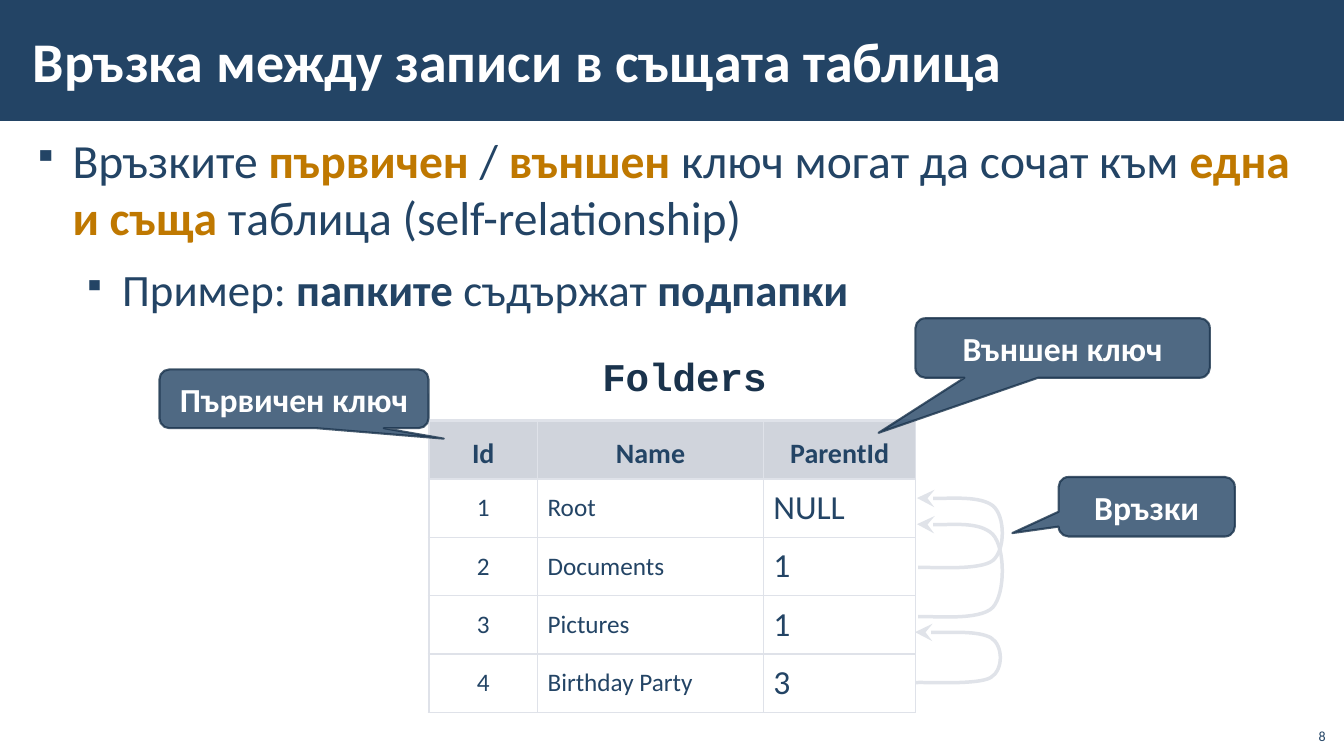
from dataclasses import dataclass

from lxml import etree
from pptx import Presentation
from pptx import util as u
from pptx.dml.color import RGBColor
from pptx.enum import shapes, text
from pptx.oxml import ns

NAVY, DARK, GOLD, WHITE = "234465", "1A334C", "BF7800", "FFFFFF"
HEADER_FILL, GRID, LINK = "D0D4DC", "DFE2E9", "E0E3E9"
ALIGN = text.PP_ALIGN
ANCHOR = text.MSO_ANCHOR


@dataclass
class Span:
    words: str
    color: str = NAVY
    bold: bool = False


@dataclass
class Callout:
    label: str
    place: tuple[float, float, float, float]
    tip: tuple[float, float]


@dataclass
class Link:
    left: float
    top: float
    bottom: float


BULLETS = [
    (34, 0.99, [
        Span("Връзките "), Span("първичен", GOLD, True), Span(" / "),
        Span("външен", GOLD, True), Span(" ключ могат да сочат към "),
        Span("една и съща", GOLD, True), Span(" таблица (self-relationship)")]),
    (32, 2.24, [
        Span("Пример: "), Span("папките", bold=True),
        Span(" съдържат "), Span("подпапки", bold=True)]),
]
FOLDERS = [
    ("Id", "Name", "ParentId"),
    ("1", "Root", "NULL"),
    ("2", "Documents", "1"),
    ("3", "Pictures", "1"),
    ("4", "Birthday Party", "3"),
]
COLUMN_WIDTHS = (2.74, 5.69, 3.84)
COLUMN_SIZES = (18, 18, 24)
ROW_HEIGHT = 1.47
CALLOUTS = [
    Callout("Първичен ключ", (4.02, 9.31, 6.78, 1.48), (0.557, 0.679)),
    Callout("Външен ключ", (23.07, 8.02, 7.42, 1.5), (-0.625, 1.425)),
    Callout("Връзки", (26.68, 12.02, 4.44, 1.5), (-0.763, 0.443)),
]
LINKS = [Link(23.14, 13.21, 15.54), Link(23.14, 12.55, 14.3), Link(23.09, 15.93, 17.2)]
# Bezier points of a link: offset to the right in cm, height as a share of the link
LOOP = [(0, 1), (0.3, 0.99), (1.55, 1.05), (1.88, 0.9), (2.2, 0.75), (2.2, 0.26),
        (1.88, 0.11), (1.55, -0.03), (0.4, 0.02), (-0.03, 0)]


def rgb(color: str) -> RGBColor:
    return RGBColor.from_string(color)


def cm(values) -> list:
    return [u.Cm(value) for value in values]


def add_span(para, span: Span, size: float, font: str = "Calibri") -> None:
    run = para.add_run()
    run.text = span.words
    run.font.name = font
    run.font.size = u.Pt(size)
    run.font.bold = span.bold
    run.font.color.rgb = rgb(span.color)


def set_frame(frame, anchor, side: float = 0.25, edge: float = 0.13) -> None:
    frame.word_wrap = True
    frame.auto_size = text.MSO_AUTO_SIZE.NONE
    frame.vertical_anchor = anchor
    frame.margin_left = frame.margin_right = u.Cm(side)
    frame.margin_top = frame.margin_bottom = u.Cm(edge)


def add_label(page, place, span: Span, size: float, align, anchor, font="Calibri"):
    box = page.shapes.add_textbox(*cm(place))
    set_frame(box.text_frame, anchor)
    para = box.text_frame.paragraphs[0]
    para.alignment = align
    add_span(para, span, size, font)
    return para


def add_title(page) -> None:
    title = page.shapes.title
    title.left, title.top, title.width, title.height = cm((0.53, 0.28, 28.52, 2.46))
    set_frame(title.text_frame, ANCHOR.MIDDLE, 0.3, 0.1)
    para = title.text_frame.paragraphs[0]
    para.alignment = ALIGN.LEFT
    add_span(para, Span("Връзка между записи в същата таблица", WHITE, True), 40)

    banner = page.shapes.add_shape(shapes.MSO_SHAPE.RECTANGLE, *cm((0, 0, 33.87, 3.05)))
    banner.shadow.inherit = False
    banner.fill.solid()
    banner.fill.fore_color.rgb = rgb(NAVY)
    banner.line.fill.background()
    title.element.addprevious(banner.element)


def add_bullets(page) -> None:
    box = page.shapes.add_textbox(*cm((0.54, 3.2, 32.79, 15.47)))
    frame = box.text_frame
    set_frame(frame, ANCHOR.TOP, 0.3, 0.1)
    for index, (size, indent, spans) in enumerate(BULLETS):
        para = frame.add_paragraph() if index else frame.paragraphs[0]
        para.level = index
        para.space_before = u.Pt(6 if index else 0)
        para.space_after = u.Pt(6)
        props = para._p.get_or_add_pPr()
        props.set("marL", str(u.Cm(indent)))
        props.set("indent", str(u.Cm(-0.99)))
        etree.SubElement(props, ns.qn("a:buSzPct"), val="70000")
        etree.SubElement(props, ns.qn("a:buChar"), char="▪")
        for span in spans:
            add_span(para, span, size)


def add_border(cell, side: str, width: float) -> None:
    props = cell._tc.get_or_add_tcPr()
    line = etree.SubElement(props, ns.qn(f"a:ln{side}"), w=str(u.Pt(width)))
    fill = etree.SubElement(line, ns.qn("a:solidFill"))
    etree.SubElement(fill, ns.qn("a:srgbClr"), val=GRID)


def format_cell(cell, words: str, row: int, column: int) -> None:
    is_header = row == 0
    thick = {"L": column == 0, "R": False, "T": row <= 1, "B": is_header}
    for side, is_thick in thick.items():
        add_border(cell, side, 2.25 if is_thick else 1)
    cell.vertical_anchor = ANCHOR.MIDDLE
    cell.margin_left = cell.margin_right = u.Cm(0 if is_header else 0.25)
    cell.margin_top = u.Cm(0.23 if is_header else 0.13)
    cell.margin_bottom = u.Cm(0 if is_header else 0.13)
    if is_header:
        cell.fill.solid()
        cell.fill.fore_color.rgb = rgb(HEADER_FILL)
    else:
        cell.fill.background()
    para = cell.text_frame.paragraphs[0]
    para.alignment = ALIGN.CENTER if is_header or column == 0 else ALIGN.LEFT
    add_span(para, Span(words, bold=is_header), 20 if is_header else COLUMN_SIZES[column])


def add_folders_table(page) -> None:
    place = (10.81, 10.6, sum(COLUMN_WIDTHS), ROW_HEIGHT * len(FOLDERS))
    table = page.shapes.add_table(len(FOLDERS), len(COLUMN_WIDTHS), *cm(place)).table
    table.first_row = table.horz_banding = False
    for column, width in zip(table.columns, COLUMN_WIDTHS):
        column.width = u.Cm(width)
    for row, record in enumerate(FOLDERS):
        table.rows[row].height = u.Cm(ROW_HEIGHT)
        for column, words in enumerate(record):
            format_cell(table.cell(row, column), words, row, column)


def add_callout(page, callout: Callout) -> None:
    kind = shapes.MSO_SHAPE.ROUNDED_RECTANGULAR_CALLOUT
    box = page.shapes.add_shape(kind, *cm(callout.place))
    box.shadow.inherit = False
    for index, value in enumerate((*callout.tip, 0.167)):
        box.adjustments[index] = value
    box.line.width = u.Pt(1.5)
    for fill, color in ((box.fill, NAVY), (box.line.fill, DARK)):
        fill.solid()
        fill.fore_color.rgb = rgb(color)
    for color in box.element.spPr.iter(ns.qn("a:srgbClr")):
        etree.SubElement(color, ns.qn("a:alpha"), val="80000")
    set_frame(box.text_frame, ANCHOR.MIDDLE)
    para = box.text_frame.paragraphs[0]
    para.alignment = ALIGN.CENTER
    add_span(para, Span(callout.label, WHITE, True), 24)


def curve_outline(outline) -> None:
    """Join each three line segments of an outline into one Bezier curve."""
    segments = list(outline.element.iter(ns.qn("a:lnTo")))
    for start in range(0, len(segments), 3):
        curve = etree.Element(ns.qn("a:cubicBezTo"))
        segments[start].addprevious(curve)
        for segment in segments[start:start + 3]:
            curve.append(segment[0])
            segment.getparent().remove(segment)


def add_link(page, link: Link) -> None:
    height = link.bottom - link.top
    loop = [(u.Cm(link.left + dx), u.Cm(link.top + share * height)) for dx, share in LOOP]
    builder = page.shapes.build_freeform(*loop[0])
    builder.add_line_segments(loop[1:], close=False)
    arrow = builder.convert_to_shape()
    curve_outline(arrow)
    arrow.shadow.inherit = False
    arrow.fill.background()
    arrow.line.width = u.Pt(2.5)
    arrow.line.color.rgb = rgb(LINK)
    etree.SubElement(arrow.line._get_or_add_ln(), ns.qn("a:tailEnd"),
                     type="stealth", w="lg", len="lg")


def main() -> None:
    deck = Presentation()
    deck.slide_width, deck.slide_height = cm((33.87, 19.05))
    page = deck.slides.add_slide(deck.slide_layouts.get_by_name("Title Only"))
    add_title(page)
    add_bullets(page)
    heading = add_label(page, (14.61, 8.89, 5.28, 1.35), Span("Folders", DARK, True), 28,
                        ALIGN.CENTER, ANCHOR.TOP, "Courier New")
    heading.line_spacing = 0.9
    add_folders_table(page)
    for link in LINKS:
        add_link(page, link)
    for callout in CALLOUTS:
        add_callout(page, callout)
    add_label(page, (32.64, 18.08, 1.02, 0.81), Span("8"), 10, ALIGN.RIGHT, ANCHOR.BOTTOM)
    deck.save("out.pptx")


if __name__ == "__main__":
    main()
